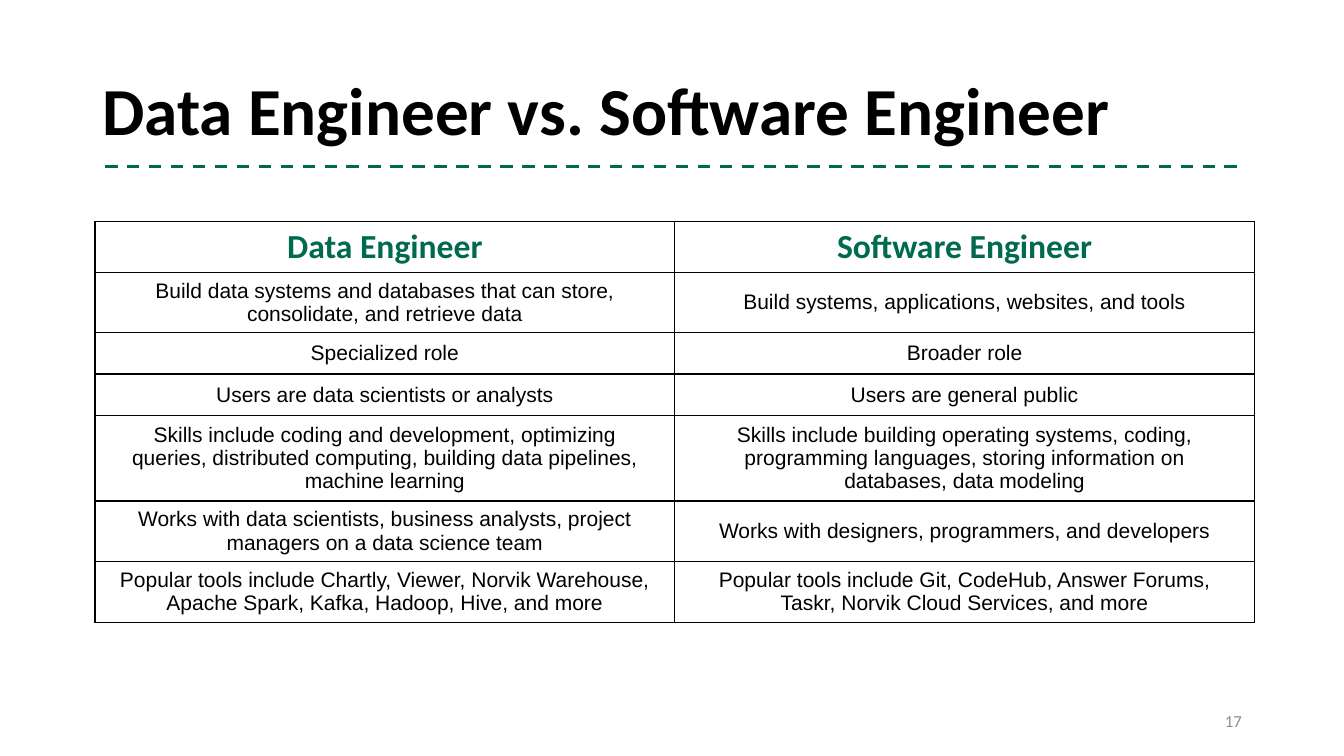
"""Slide comparing data engineers with software engineers."""
from lxml import etree
from pptx import Presentation, util as u
from pptx.dml.color import RGBColor
from pptx.enum import dml, shapes, text
from pptx.oxml.ns import qn

HUES = {"ink": "000000", "green": "006A4E", "gray": "8C8C8C", "paper": "FFFFFF"}
ROWS = [
    ("Data Engineer", "Software Engineer"),
    ("Build data systems and databases that can store, consolidate, and retrieve data",
     "Build systems, applications, websites, and tools"),
    ("Specialized role", "Broader role"),
    ("Users are data scientists or analysts", "Users are general public"),
    ("Skills include coding and development, optimizing queries, distributed computing, "
     "building data pipelines, machine learning",
     "Skills include building operating systems, coding, programming languages, "
     "storing information on databases, data modeling"),
    ("Works with data scientists, business analysts, project managers on a data science team",
     "Works with designers, programmers, and developers"),
    ("Popular tools include Chartly, Viewer, Norvik Warehouse, "
     "Apache Spark, Kafka, Hadoop, Hive, and more",
     "Popular tools include Git, CodeHub, Answer Forums, Taskr, "
     "Norvik Cloud Services, and more"),
]

deck = Presentation()
deck.slide_width, deck.slide_height = u.Inches(13.33), u.Inches(7.5)
slide = deck.slides.add_slide(deck.slide_layouts[6])


def grid(*cells):
    """Turn counts of a 160 by 90 grid into lengths."""
    return [round(deck.slide_height * n / 90) for n in cells]


def style(frame, size, face, hue, bold, side):
    """Format the one paragraph of a text frame."""
    frame.word_wrap = True
    para = frame.paragraphs[0]
    para.alignment = side
    for run in para.runs:
        run.font.size, run.font.name, run.font.bold = u.Pt(size), face, bold
        run.font.color.rgb = RGBColor.from_string(HUES[hue])


side = text.PP_ALIGN
for words, place, size, hue, bold, align in [
    ("Data Engineer vs. Software Engineer", (11, 4.8, 138, 17.4), 48, "ink", True, side.LEFT),
    ("17", (113, 83.4, 36, 4.8), 12, "gray", False, side.RIGHT),
]:
    frame = slide.shapes.add_textbox(*grid(*place)).text_frame
    frame.text = words
    frame.vertical_anchor = text.MSO_ANCHOR.MIDDLE
    style(frame, size, "Calibri", hue, bold, align)
    frame.paragraphs[0].line_spacing = 0.9 if bold else 1.0

rule = slide.shapes.add_connector(shapes.MSO_CONNECTOR.STRAIGHT, *grid(12.5, 19.8, 148, 19.8))
rule.line.color.rgb = RGBColor.from_string(HUES["green"])
rule.line.width = u.Pt(2.25)
rule.line.dash_style = dml.MSO_LINE.DASH
etree.SubElement(rule._element.spPr, qn("a:effectLst"))

table = slide.shapes.add_table(len(ROWS), 2, *grid(11.3, 26.4, 138, 34.4)).table
for r, pair in enumerate(ROWS):
    table.rows[r].height = u.Inches(0.41)
    for c, words in enumerate(pair):
        cell = table.cell(r, c)
        cell.text = words
        cell.vertical_anchor = text.MSO_ANCHOR.MIDDLE
        cell.margin_left = cell.margin_right = u.Inches(0.21)
        cell.margin_top = cell.margin_bottom = u.Inches(0.05)
        look = (15, "Arial", "ink", False) if r else (24, "Calibri", "green", True)
        style(cell.text_frame, *look, side.CENTER)
        props = cell._tc.get_or_add_tcPr()
        for edge in ("lnL", "lnR", "lnT", "lnB"):
            line = etree.SubElement(props, qn("a:" + edge), w=str(u.Pt(1)))
            fill = etree.SubElement(line, qn("a:solidFill"))
            etree.SubElement(fill, qn("a:srgbClr"), val=HUES["ink"])
        cell.fill.solid()
        cell.fill.fore_color.rgb = RGBColor.from_string(HUES["paper"])

deck.save("out.pptx")
